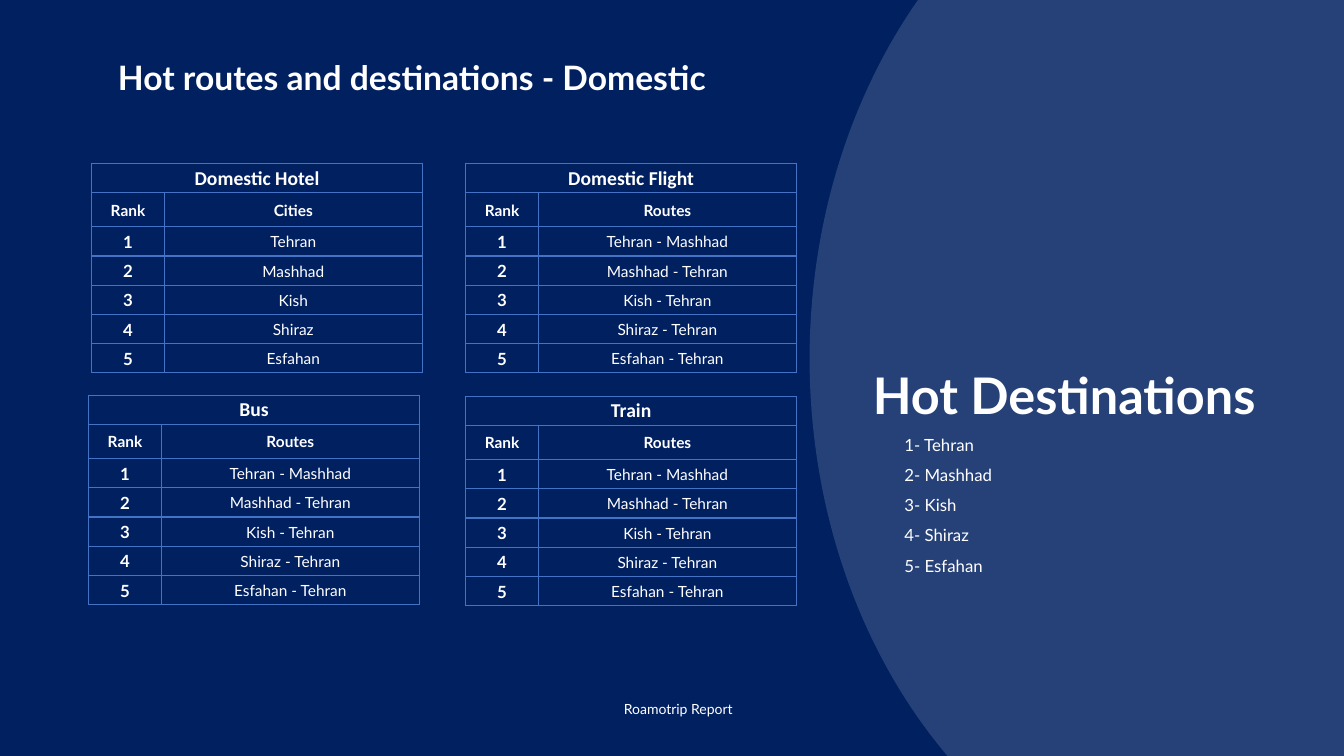
import pptx
import pptx.util
import pptx.dml.color
import pptx.enum.shapes
import pptx.enum.text
import pptx.oxml
import pptx.oxml.ns

Inches = pptx.util.Inches
ALIGN = pptx.enum.text.PP_ALIGN
ANCHOR = pptx.enum.text.MSO_ANCHOR
COLOURS = {"navy": "002060", "white": "FFFFFF", "grid": "4472C4"}


def style_text(frame, size, bold=False, font="Lato", align=ALIGN.LEFT, spacing=1.0):
    for para in frame.paragraphs:
        para.alignment = align
        para.line_spacing = spacing
        para.space_before = pptx.util.Pt(0)
        for span in para.runs:
            span.font.name = font
            span.font.size = pptx.util.Pt(size)
            span.font.bold = bold
            span.font.color.rgb = pptx.dml.color.RGBColor.from_string(COLOURS["white"])


def place_box(box, left, top, width, height):
    box.left, box.top = Inches(left), Inches(top)
    box.width, box.height = Inches(width), Inches(height)
    box.text_frame.word_wrap = True
    box.text_frame.vertical_anchor = ANCHOR.TOP
    box.text_frame.auto_size = pptx.enum.text.MSO_AUTO_SIZE.SHAPE_TO_FIT_TEXT


deck = pptx.Presentation()
deck.slide_width, deck.slide_height = Inches(13.33), Inches(7.5)
page = deck.slides.add_slide(deck.slide_layouts[1])
page.background.fill.solid()
page.background.fill.fore_color.rgb = pptx.dml.color.RGBColor.from_string(COLOURS["navy"])

# Title
title = page.shapes.title
title.text_frame.text = "Hot routes and destinations - Domestic"
place_box(title, 1.07, 0.31, 7.12, 0.71)
style_text(title.text_frame, 24, bold=True, spacing=1.5)

# Footer
footer = page.shapes.add_textbox(0, 0, 0, 0)
footer.text_frame.text = "Roamotrip Report"
place_box(footer, 6.09, 6.9, 1.34, 0.27)
style_text(footer.text_frame, 10)

# Translucent circle on the right
circle = page.shapes.add_shape(
    pptx.enum.shapes.MSO_SHAPE.OVAL, Inches(8.03), Inches(-1.92), Inches(8.97), Inches(10.96))
circle.shadow.inherit = False
circle.line.fill.background()
circle.fill.solid()
circle.fill.fore_color.rgb = pptx.dml.color.RGBColor.from_string(COLOURS["white"])
white_fill = circle.element.spPr.find(".//" + pptx.oxml.ns.qn("a:srgbClr"))
white_fill.append(pptx.oxml.parse_xml(
    f'<a:alpha {pptx.oxml.ns.nsdecls("a")} val="15000"/>'))

# Destination list, in front of the circle
cities = ["Tehran", "Mashhad", "Kish", "Shiraz", "Esfahan"]
destinations = page.placeholders[1]
destinations.text_frame.text = "\n".join(
    f"{rank}- {city}" for rank, city in enumerate(cities, 1))
place_box(destinations, 8.87, 4.16, 4.23, 1.59)
style_text(destinations.text_frame, 12, spacing=1.5)
for para in destinations.text_frame.paragraphs:
    properties = para._p.get_or_add_pPr()
    properties.set("marL", "0")
    properties.set("indent", "0")
    properties.append(pptx.oxml.parse_xml(f'<a:buNone {pptx.oxml.ns.nsdecls("a")}/>'))
circle.element.addnext(destinations.element)

heading = page.shapes.add_textbox(0, 0, 0, 0)
heading.text_frame.text = "Hot Destinations"
place_box(heading, 8.07, 3.56, 4.97, 0.71)
style_text(heading.text_frame, 36, bold=True, align=ALIGN.CENTER)

# Ranking tables
routes = ["Tehran - Mashhad", "Mashhad - Tehran"] + [f"{city} - Tehran" for city in cities[2:]]
rankings = [
    ("Domestic Hotel", "Cities", cities, 0.91, 1.62),
    ("Domestic Flight", "Routes", routes, 4.62, 1.62),
    ("Bus", "Routes", routes, 0.88, 3.92),
    ("Train", "Routes", routes, 4.62, 3.93),
]
row_heights = [0.29, 0.34] + [0.29] * 5
column_widths = [0.72, 2.56]

for name, label, entries, left, top in rankings:
    frame = page.shapes.add_table(
        len(row_heights), len(column_widths), Inches(left), Inches(top),
        Inches(sum(column_widths)), Inches(sum(row_heights)))
    table = frame.table
    table.first_row = table.horz_banding = False
    for column, width in zip(table.columns, column_widths):
        column.width = Inches(width)
    for row, height in zip(table.rows, row_heights):
        row.height = Inches(height)
    table.cell(0, 0).merge(table.cell(0, 1))

    rows = [(name, ""), ("Rank", label)]
    rows += [(str(rank), entry) for rank, entry in enumerate(entries, 1)]
    for row_index, texts in enumerate(rows):
        for column_index, text in enumerate(texts):
            cell = table.cell(row_index, column_index)
            cell.margin_left = cell.margin_right = cell.margin_top = Inches(0.01)
            cell.margin_bottom = 0
            cell.vertical_anchor = ANCHOR.MIDDLE
            for side in ("lnL", "lnR", "lnT", "lnB"):
                cell._tc.get_or_add_tcPr().append(pptx.oxml.parse_xml(
                    f'<a:{side} {pptx.oxml.ns.nsdecls("a")} w="12700"><a:solidFill>'
                    f'<a:srgbClr val="{COLOURS["grid"]}"/></a:solidFill></a:{side}>'))
            cell.fill.background()
            if not text:
                continue
            cell.text_frame.text = text
            if row_index == 0:
                size, font = 14, "Calibri"
            else:
                size, font = (12 if row_index > 1 and column_index == 0 else 11), "Lato"
            bold = row_index < 2 or column_index == 0
            style_text(cell.text_frame, size, bold, font, ALIGN.CENTER)

deck.save("out.pptx")
